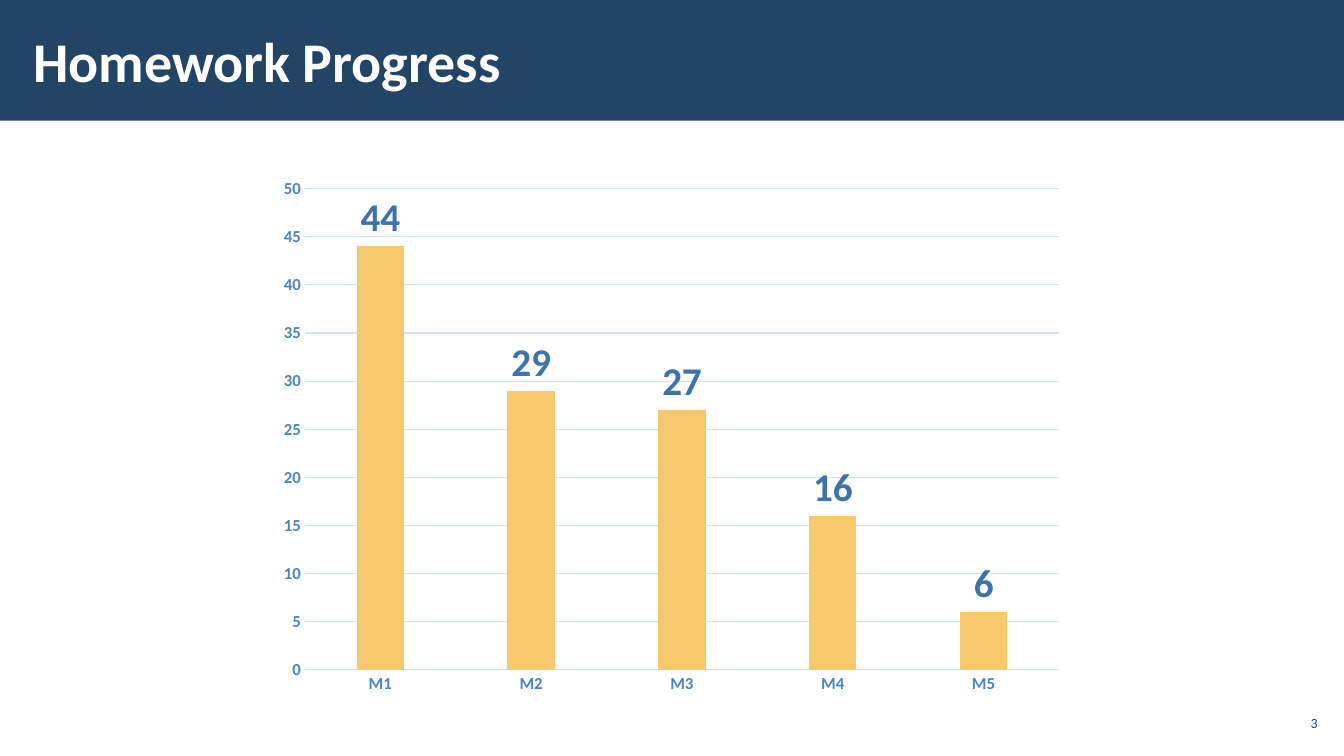
from pptx import Presentation
from pptx.chart.data import CategoryChartData
from pptx.dml.color import RGBColor
from pptx.enum.chart import XL_CHART_TYPE, XL_LABEL_POSITION, XL_TICK_MARK
from pptx.enum.shapes import MSO_SHAPE
from pptx.enum.text import MSO_ANCHOR, PP_ALIGN
from pptx.util import Pt

EMU_PER_PX = 9525
SLIDE_WIDTH, SLIDE_HEIGHT = 1280, 720

NAVY = RGBColor(0x23, 0x44, 0x65)
WHITE = RGBColor(0xFF, 0xFF, 0xFF)
GOLD = RGBColor(0xF7, 0xC8, 0x6D)
AXIS_BLUE = RGBColor(0x4A, 0x85, 0xC0)
LABEL_BLUE = RGBColor(0x3B, 0x73, 0xAA)
GRID_BLUE = RGBColor(0xD5, 0xE3, 0xF1)

HOMEWORK_COUNTS = {"M1": 44, "M2": 29, "M3": 27, "M4": 16, "M5": 6}


def px(*lengths):
    return [length * EMU_PER_PX for length in lengths]


def set_attributes(target, values):
    for name, value in values.items():
        setattr(target, name, value)


def format_font(font, size, color, bold=False):
    set_attributes(font, {"name": "Calibri", "size": Pt(size), "bold": bold})
    font.color.rgb = color


def format_line(line, color):
    line.color.rgb = color
    line.width = Pt(0.75)


def write_text(shape, text, size, color, bold, align, side_inset):
    frame = shape.text_frame
    side, edge = px(side_inset, 4)
    set_attributes(frame, {
        "word_wrap": True, "vertical_anchor": MSO_ANCHOR.MIDDLE,
        "margin_left": side, "margin_right": side,
        "margin_top": edge, "margin_bottom": edge,
    })
    paragraph = frame.paragraphs[0]
    paragraph.alignment = align
    run = paragraph.add_run()
    run.text = text
    format_font(run.font, size, color, bold)


def add_header(slide, left, top, width, height):
    # Band goes behind the title placeholder
    band = slide.shapes.add_shape(MSO_SHAPE.RECTANGLE, *px(left, top, width, height))
    band.shadow.inherit = False
    band.fill.solid()
    band.fill.fore_color.rgb = NAVY
    band.line.fill.background()
    title = slide.shapes.title
    title.element.addprevious(band.element)

    title_box = px(left + 20, top + 11, 998, height - 22)
    set_attributes(title, dict(zip(("left", "top", "width", "height"), title_box)))
    write_text(title, "Homework Progress", 40, WHITE, True, PP_ALIGN.LEFT, 12)


def add_homework_chart(slide, left, top, width, height):
    data = CategoryChartData()
    data.categories = list(HOMEWORK_COUNTS)
    data.add_series("Series 1", list(HOMEWORK_COUNTS.values()))
    chart = slide.shapes.add_chart(
        XL_CHART_TYPE.COLUMN_CLUSTERED, *px(left, top, width, height), data).chart
    set_attributes(chart, {"has_title": False, "has_legend": False})
    format_font(chart.font, 10, NAVY)

    # Axes and gridlines
    for axis in (chart.category_axis, chart.value_axis):
        set_attributes(axis, {"major_tick_mark": XL_TICK_MARK.NONE,
                              "minor_tick_mark": XL_TICK_MARK.NONE})
        format_font(axis.tick_labels.font, 12, AXIS_BLUE, True)
    format_line(chart.category_axis.format.line, GRID_BLUE)
    set_attributes(chart.value_axis, {"minimum_scale": 0, "maximum_scale": 50,
                                      "major_unit": 5, "has_major_gridlines": True})
    chart.value_axis.format.line.fill.background()
    format_line(chart.value_axis.major_gridlines.format.line, GRID_BLUE)

    # Columns and their values
    plot = chart.plots[0]
    set_attributes(plot, {"gap_width": 219, "overlap": -27,
                          "vary_by_categories": False})
    series = plot.series[0]
    series.format.fill.solid()
    series.format.fill.fore_color.rgb = GOLD
    labels = series.data_labels
    set_attributes(labels, {"show_value": True,
                            "position": XL_LABEL_POSITION.OUTSIDE_END})
    format_font(labels.font, 28, LABEL_BLUE, True)


def add_page_number(slide, left, top, width, height):
    box = slide.shapes.add_textbox(*px(left, top, width, height))
    write_text(box, "3", 10, NAVY, False, PP_ALIGN.RIGHT, 4)


def main():
    presentation = Presentation()
    presentation.slide_width, presentation.slide_height = px(SLIDE_WIDTH, SLIDE_HEIGHT)
    slide = presentation.slides.add_slide(presentation.slide_layouts[5])
    add_header(slide, 0, 0, SLIDE_WIDTH, 115)
    add_homework_chart(slide, 255, 160, 769, 511)
    add_page_number(slide, 1214, 672, 45, 33)
    presentation.save("out.pptx")


if __name__ == "__main__":
    main()
